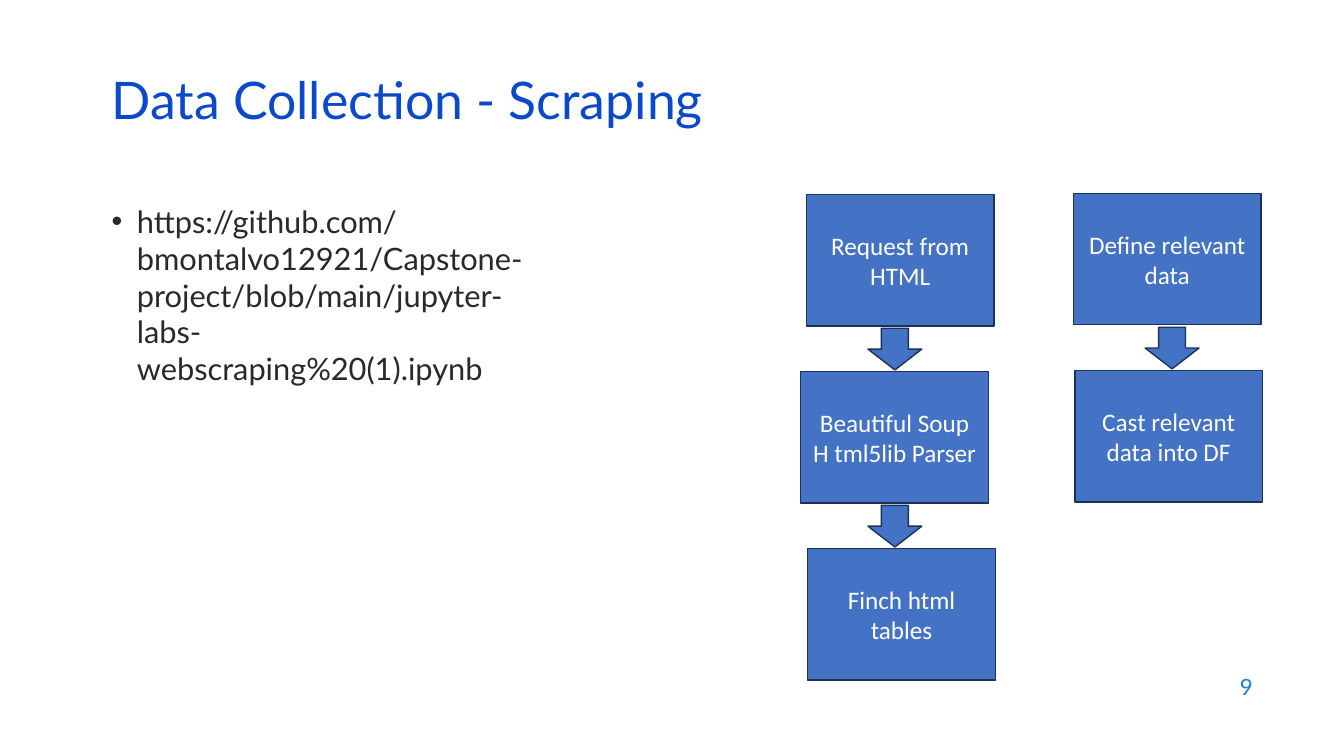
from lxml import etree
from pptx import Presentation, util as u
from pptx.dml import color
from pptx.enum import shapes, text
from pptx.oxml import ns


def rgb(value):
    return color.RGBColor.from_string(value)


class Deck:
    FILL, LINE = "4472C4", "1E3256"
    HEAD, BODY, NUMBER, LIGHT = "0B49CB", "292929", "1C7DDB", "FFFFFF"
    TEXT_FONT, BOX_FONT = "Lato", "Calibri"

    def __init__(self, width, height):
        self.prs = Presentation()
        self.prs.slide_width, self.prs.slide_height = u.Pt(width), u.Pt(height)
        self.s = self.prs.slides.add_slide(self.prs.slide_layouts[5])

    def set_text(self, sp, content, size, ink, font, align, anchor):
        tf = sp.text_frame
        tf.text = content
        tf.word_wrap = True
        tf.auto_size = text.MSO_AUTO_SIZE.NONE
        tf.vertical_anchor = anchor
        for p in tf.paragraphs:
            p.alignment = align
            for r in p.runs:
                r.font.size, r.font.name = u.Pt(size), font
                r.font.color.rgb = rgb(ink)
        return tf.paragraphs[0]

    def title(self, content, *at):
        sp = self.s.shapes.title
        sp.left, sp.top, sp.width, sp.height = map(u.Pt, at)
        p = self.set_text(sp, content, 37, self.HEAD, self.TEXT_FONT,
                          text.PP_ALIGN.LEFT, text.MSO_ANCHOR.MIDDLE)
        p.line_spacing = 0.7

    def textbox(self, content, size, ink, align, anchor, *at):
        sp = self.s.shapes.add_textbox(*map(u.Pt, at))
        return self.set_text(sp, content, size, ink, self.TEXT_FONT, align, anchor)

    def bullet(self, content, *at):
        p = self.textbox(content, 22, self.BODY, text.PP_ALIGN.LEFT,
                         text.MSO_ANCHOR.TOP, *at)
        pPr = p._p.get_or_add_pPr()
        pPr.set("marL", str(u.Pt(18)))
        pPr.set("indent", str(-u.Pt(18)))
        etree.SubElement(pPr, ns.qn("a:buFont"), typeface="Arial")
        etree.SubElement(pPr, ns.qn("a:buChar"), char="•")

    def number(self, content, *at):
        self.textbox(content, 16, self.NUMBER, text.PP_ALIGN.RIGHT,
                     text.MSO_ANCHOR.MIDDLE, *at)

    def shape(self, kind, *at):
        sp = self.s.shapes.add_shape(kind, *map(u.Pt, at))
        sp.shadow.inherit = False
        sp.fill.solid()
        sp.fill.fore_color.rgb = rgb(self.FILL)
        sp.line.color.rgb = rgb(self.LINE)
        sp.line.width = u.Pt(1)
        return sp

    def box(self, content, left, top):
        sp = self.shape(shapes.MSO_SHAPE.RECTANGLE, left, top, 134, 93.75)
        self.set_text(sp, content, 18, self.LIGHT, self.BOX_FONT,
                      text.PP_ALIGN.CENTER, text.MSO_ANCHOR.MIDDLE)

    def arrow(self, left, top):
        self.shape(shapes.MSO_SHAPE.DOWN_ARROW, left, top, 38.5, 29.75)

    def flow(self, steps, top, arrow_left):
        pitch = 126.5
        for i, (content, left) in enumerate(steps):
            self.box(content, left, top + i * pitch)
            if i:
                self.arrow(arrow_left, top + i * pitch - 31)


def main():
    deck = Deck(960, 540)
    deck.title("Data Collection - Scraping", 72.75, 54.75, 828, 43.25)
    deck.bullet("https://github.com/bmontalvo12921/Capstone-project/blob/main/"
                "jupyter-labs-webscraping%20(1).ipynb", 72.75, 141, 309.5, 147.5)
    deck.flow([("Request from HTML", 576),
               ("Beautiful Soup\nH tml5lib Parser", 572),
               ("Finch html tables", 577)], 139, 620)
    deck.flow([("Define relevant data", 766.75),
               ("Cast relevant data into DF", 767.75)], 138.25, 818)
    deck.number("9", 686, 474.5, 216, 31.75)
    deck.prs.save("out.pptx")


if __name__ == "__main__":
    main()
